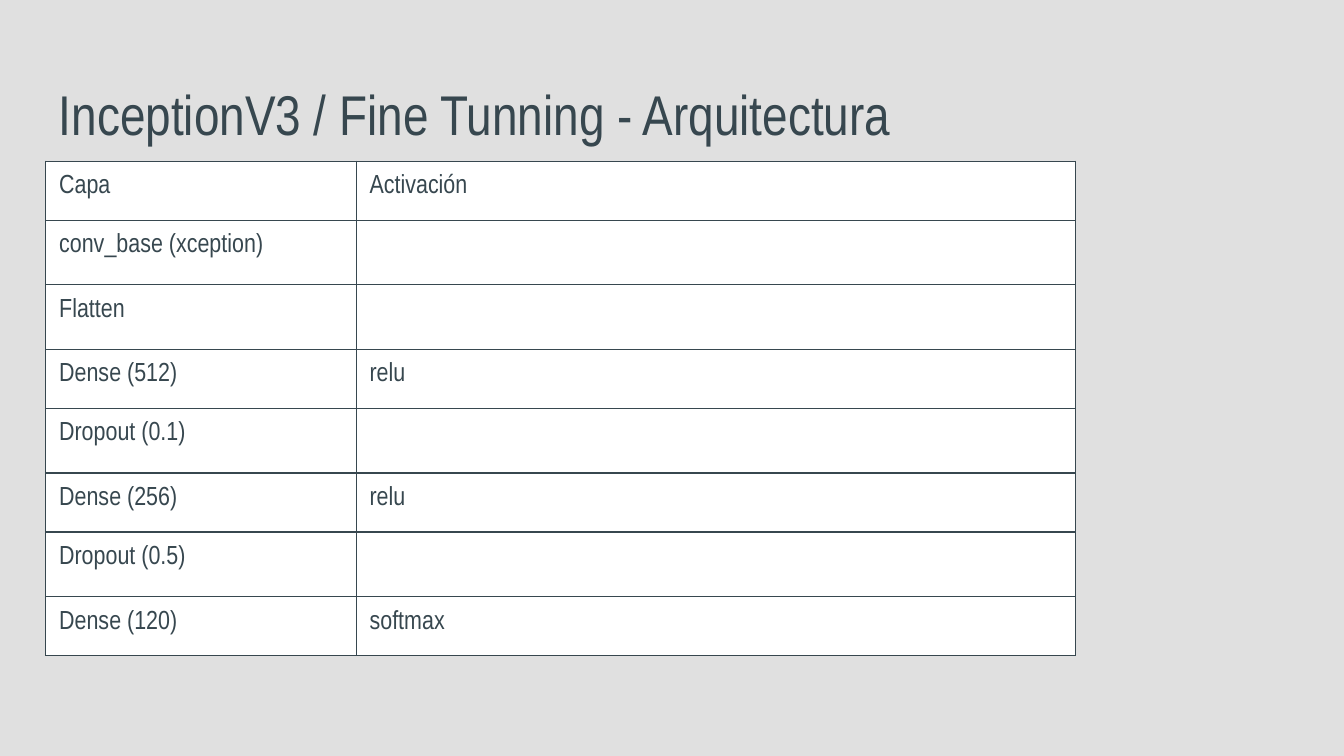
from lxml import etree
from pptx import Presentation
from pptx.dml.color import RGBColor
from pptx.enum.text import MSO_ANCHOR
from pptx.oxml.ns import qn
from pptx.util import Inches, Pt

TOP = MSO_ANCHOR.TOP
FONT = "Arial Narrow"
COLORS = {"background": "E0E0E0", "ink": "37474F", "cell": "FFFFFF"}
LAYERS = [
    ("Capa", "Activación"),
    ("conv_base (xception)", ""),
    ("Flatten", ""),
    ("Dense (512)", "relu"),
    ("Dropout (0.1)", ""),
    ("Dense (256)", "relu"),
    ("Dropout (0.5)", ""),
    ("Dense (120)", "softmax"),
]


def write_text(text_frame, text, size):
    paragraph = text_frame.paragraphs[0]
    paragraph.text = text
    paragraph.font.name = FONT
    paragraph.font.size = Pt(size)
    paragraph.font.color.rgb = RGBColor.from_string(COLORS["ink"])
    if not text:
        etree.SubElement(paragraph._p, qn("a:endParaRPr"), sz=str(size * 100))


def add_borders(cell):
    properties = cell._tc.get_or_add_tcPr()
    for position, side in enumerate(("lnL", "lnR", "lnT", "lnB")):
        line = etree.Element(qn(f"a:{side}"), w=str(Pt(0.75)))
        fill = etree.SubElement(line, qn("a:solidFill"))
        etree.SubElement(fill, qn("a:srgbClr"), val=COLORS["ink"])
        properties.insert(position, line)


presentation = Presentation()
presentation.slide_width = Inches(10)
presentation.slide_height = Inches(10 * 9 / 16)
slide = presentation.slides.add_slide(presentation.slide_layouts[6])
slide.background.fill.solid()
slide.background.fill.fore_color.rgb = RGBColor.from_string(COLORS["background"])

title = slide.shapes.add_textbox(Inches(0.34), Inches(0.49), Inches(9.54), Inches(0.63))
title_frame = title.text_frame
title_frame.word_wrap = True
title_frame.vertical_anchor = TOP
title_frame.margin_left = title_frame.margin_right = Inches(0.1)
title_frame.margin_top = title_frame.margin_bottom = Inches(0.1)
write_text(title_frame, "InceptionV3 / Fine Tunning - Arquitectura", 30)

table = slide.shapes.add_table(
    len(LAYERS), 2, Inches(0.34), Inches(1.2), Inches(7.66), Inches(3.68)
).table
table.columns[0].width = Inches(2.31)
table.columns[1].width = Inches(5.35)

for row, layer in enumerate(LAYERS):
    table.rows[row].height = Inches(0.44 if layer[1] else 0.48)
    for column, text in enumerate(layer):
        cell = table.cell(row, column)
        cell.margin_left = cell.margin_right = Inches(0.1)
        cell.margin_top = cell.margin_bottom = Inches(0.1)
        cell.vertical_anchor = TOP
        cell.fill.solid()
        cell.fill.fore_color.rgb = RGBColor.from_string(COLORS["cell"])
        add_borders(cell)
        write_text(cell.text_frame, text, 14)

presentation.save("out.pptx")
